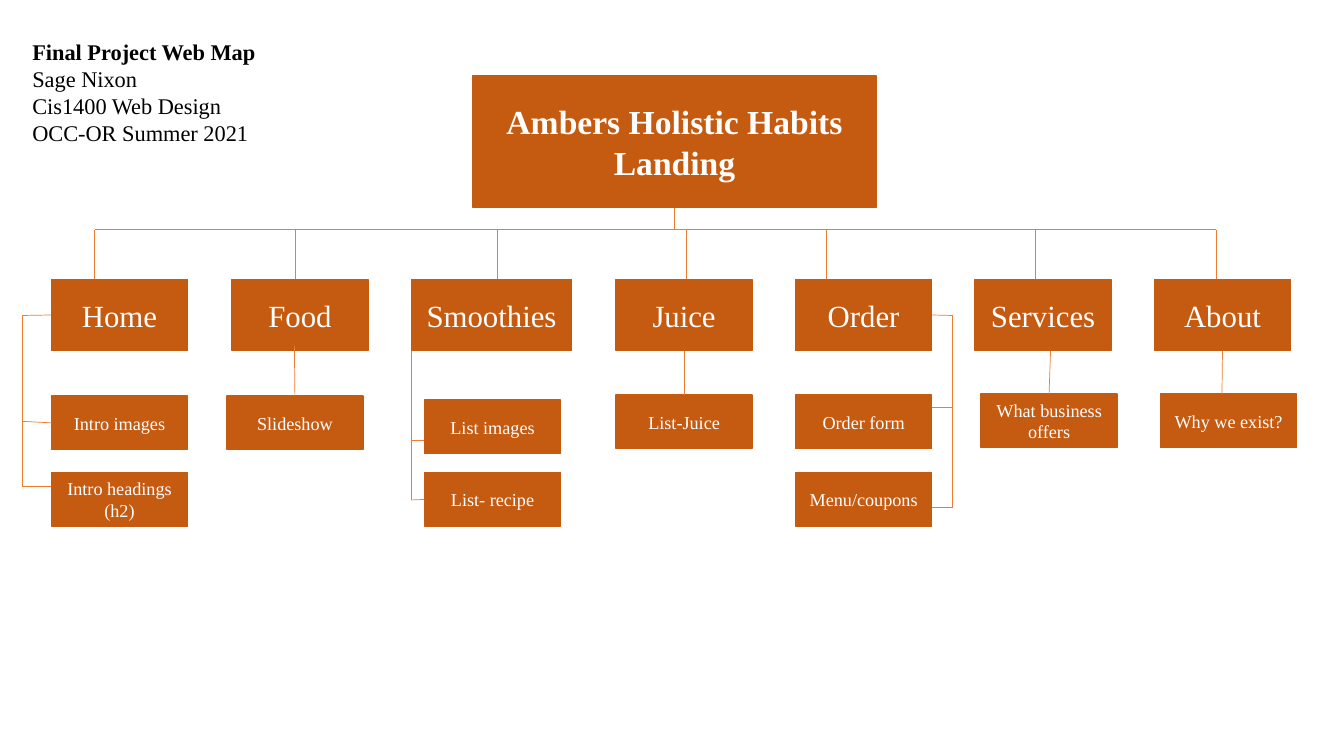
from pptx import Presentation
from pptx.dml.color import RGBColor
from pptx.enum.shapes import MSO_CONNECTOR, MSO_SHAPE
from pptx.enum.text import MSO_ANCHOR, MSO_AUTO_SIZE, PP_ALIGN
from pptx.oxml.ns import qn
from pptx.util import Inches, Pt
from lxml import etree

COLORS = {"box": "C55A11", "line": "ED7D31", "light": "FFFFFF", "dark": "000000"}
FONT = "Times New Roman"
BUS = 2.28  # height of the line that feeds all pages

deck = Presentation()
deck.slide_width, deck.slide_height = Inches(13.33), Inches(7.5)
slide = deck.slides.add_slide(deck.slide_layouts[5])
boxes = {}


def add_box(text, left, top, width, height, size, bold=False):
    box = slide.shapes.add_shape(MSO_SHAPE.RECTANGLE, Inches(left), Inches(top),
                                 Inches(width), Inches(height))
    box.shadow.inherit = False
    box.fill.solid()
    box.fill.fore_color.rgb = box.line.color.rgb = RGBColor.from_string(COLORS["box"])
    box.line.width = Pt(1)
    frame = box.text_frame
    frame.word_wrap = True
    frame.vertical_anchor = MSO_ANCHOR.MIDDLE
    para = frame.paragraphs[0]
    para.text = text
    para.alignment = PP_ALIGN.CENTER
    look = {"name": FONT, "size": Pt(size), "bold": bold}
    for key, value in look.items():
        setattr(para.font, key, value)
    para.font.color.rgb = RGBColor.from_string(COLORS["light"])
    boxes[text] = box


def add_line(x1, y1, x2, y2, start=None, end=None):
    """Draw a line; start and end are (box name, side) pairs to join."""
    line = slide.shapes.add_connector(MSO_CONNECTOR.STRAIGHT, Inches(x1), Inches(y1),
                                      Inches(x2), Inches(y2))
    line.line.color.rgb = RGBColor.from_string(COLORS["line"])
    line.line.width = Pt(0.5)
    etree.SubElement(line._element.spPr, qn("a:effectLst"))
    if start:
        line.begin_connect(boxes[start[0]], start[1])
    if end:
        line.end_connect(boxes[end[0]], end[1])


# Heading
title = slide.shapes.title
place = {"left": 0.22, "top": 0.33, "width": 2.69, "height": 1.18}
for key, value in place.items():
    setattr(title, key, Inches(value))
frame = title.text_frame
frame.text = "Final Project Web Map\nSage Nixon\nCis1400 Web Design\nOCC-OR Summer 2021"
layout = {"word_wrap": True, "auto_size": MSO_AUTO_SIZE.NONE,
          "vertical_anchor": MSO_ANCHOR.TOP}
for key, value in layout.items():
    setattr(frame, key, value)
for row, para in enumerate(frame.paragraphs):
    para.alignment = PP_ALIGN.LEFT
    look = {"name": FONT, "size": Pt(16), "bold": row == 0}
    for key, value in look.items():
        setattr(para.font, key, value)
    para.font.color.rgb = RGBColor.from_string(COLORS["dark"])

# Landing page and the line below it
landing = "Ambers Holistic Habits Landing"
add_box(landing, 4.69, 0.75, 4, 1.31, 24, True)
add_line(6.69, 2.06, 6.69, BUS, start=(landing, 2))
add_line(0.94, BUS, 12.06, BUS)

# Pages: name, left, width, x of the drop line
pages = [
    ("Home", 0.51, 1.35, 0.94),
    ("Food", 2.3, 1.35, 2.93),
    ("Smoothies", 4.08, 1.59, 4.93),
    ("Juice", 6.11, 1.35, 6.81),
    ("Order", 7.89, 1.35, 8.2),
    ("Services", 9.67, 1.35, 10.27),
    ("About", 11.45, 1.35, 12.06),
]
for name, left, width, drop in pages:
    add_box(name, left, 2.77, width, 0.71, 22)
    add_line(drop, BUS, drop, 2.77)

# Contents of the pages: text, left, top
parts = [
    ("Intro images", 0.51, 3.93),
    ("Intro headings (h2)", 0.51, 4.69),
    ("Slideshow", 2.25, 3.93),
    ("List images", 4.21, 3.97),
    ("List- recipe", 4.21, 4.69),
    ("List-Juice", 6.11, 3.92),
    ("Order form", 7.89, 3.92),
    ("Menu/coupons", 7.89, 4.69),
    ("What business offers", 9.73, 3.91),
    ("Why we exist?", 11.51, 3.91),
]
for text, left, top in parts:
    add_box(text, left, top, 1.35, 0.53, 13)

# Lines from pages to contents: x1, y1, x2, y2, start, end
links = [
    (0.22, 3.13, 0.22, 4.83, None, None),
    (0.22, 3.13, 0.51, 3.13, None, ("Home", 1)),
    (0.22, 4.18, 0.51, 4.18, None, ("Intro images", 1)),
    (0.22, 4.83, 0.51, 4.83, None, None),
    (2.92, 3.43, 2.92, 3.93, None, ("Slideshow", 0)),
    (4.08, 3.48, 4.08, 4.96, None, None),
    (4.08, 4.37, 4.21, 4.37, None, None),
    (4.08, 4.96, 4.21, 4.96, None, ("List- recipe", 1)),
    (6.79, 3.48, 6.79, 3.92, ("Juice", 2), ("List-Juice", 0)),
    (9.45, 3.13, 9.45, 5.03, None, None),
    (9.45, 3.13, 9.24, 3.13, None, ("Order", 3)),
    (9.45, 4.04, 9.24, 4.04, None, None),
    (9.45, 5.03, 9.24, 5.03, None, None),
    (10.42, 3.48, 10.41, 3.91, None, ("What business offers", 0)),
    (12.12, 3.48, 12.12, 3.91, ("About", 2), None),
]
for link in links:
    add_line(*link)

deck.save("out.pptx")
